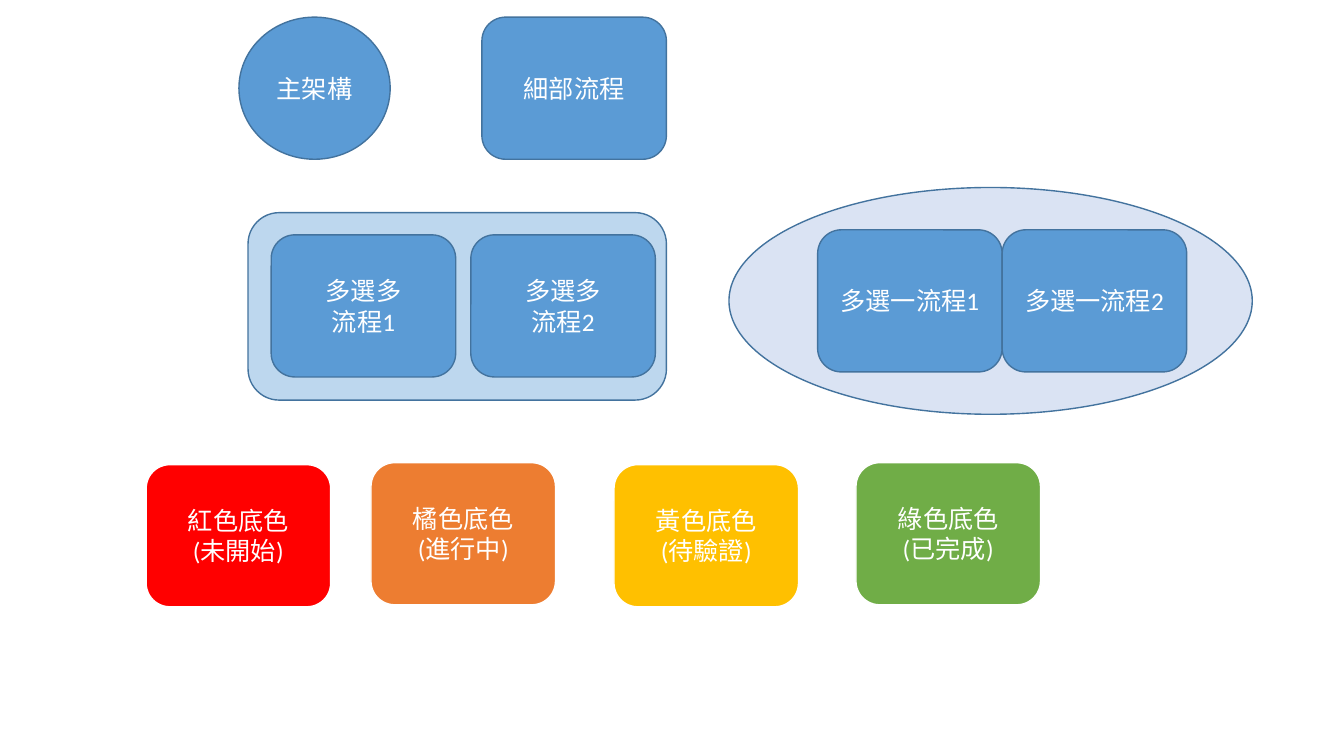
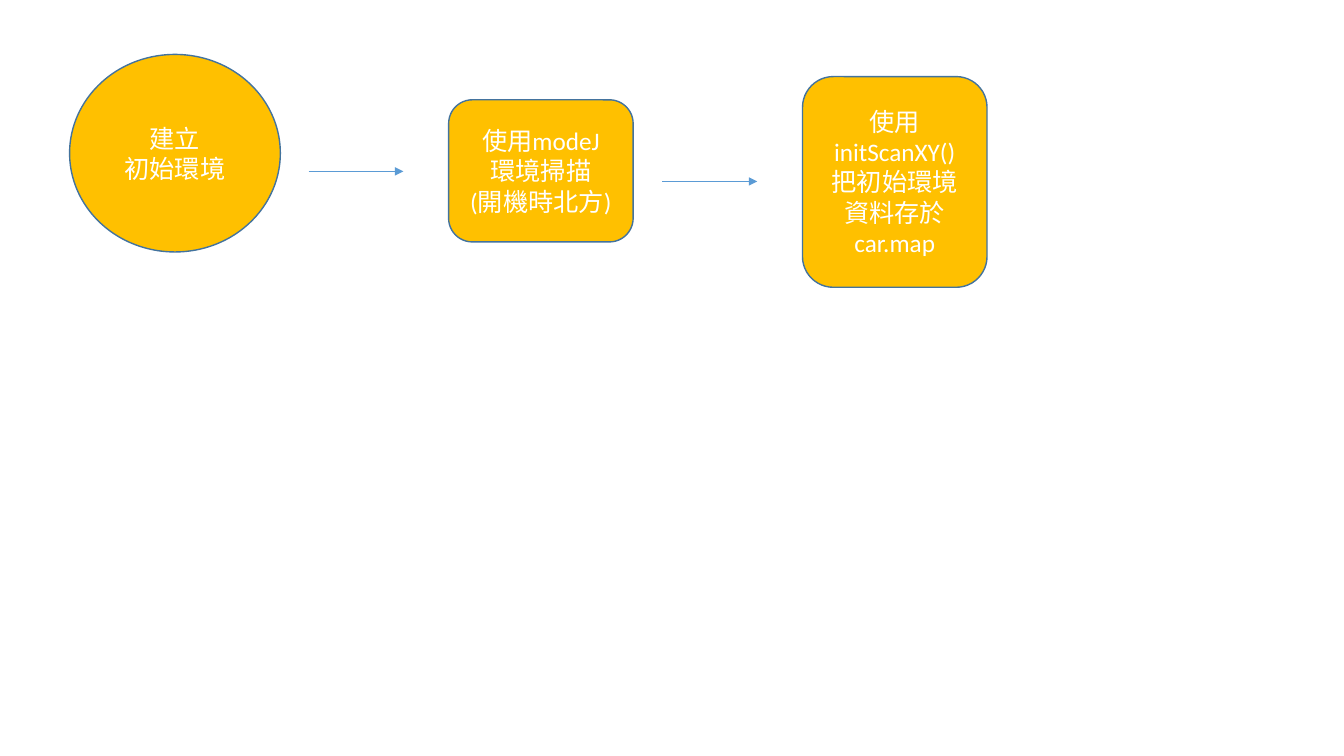
from lxml import etree
from pptx import Presentation
from pptx.dml.color import RGBColor
from pptx.enum.shapes import MSO_CONNECTOR, MSO_SHAPE
from pptx.enum.text import MSO_ANCHOR, PP_ALIGN
from pptx.oxml.ns import qn
from pptx.util import Inches, Pt

OVAL, BOX = MSO_SHAPE.OVAL, MSO_SHAPE.ROUNDED_RECTANGLE
STRAIGHT = MSO_CONNECTOR.STRAIGHT
MIDDLE, CENTER = MSO_ANCHOR.MIDDLE, PP_ALIGN.CENTER

BLUE = RGBColor(0x5B, 0x9B, 0xD5)
OUTLINE = RGBColor(0x43, 0x73, 0x9E)
PALE_BLUE = RGBColor(0xBD, 0xD7, 0xEE)
LAVENDER = RGBColor(0xDA, 0xE3, 0xF3)
RED = RGBColor(0xFF, 0x00, 0x00)
ORANGE = RGBColor(0xED, 0x7D, 0x31)
YELLOW = RGBColor(0xFF, 0xC0, 0x00)
GREEN = RGBColor(0x70, 0xAD, 0x47)
WHITE = RGBColor(0xFF, 0xFF, 0xFF)

STEP_W, STEP_H = 1.83, 1.41
LABEL_FONT = {"name": "Calibri", "size": Pt(18)}

prs = Presentation()
prs.slide_width, prs.slide_height = Inches(13.33), Inches(7.5)
blank = prs.slide_layouts[6]


def add_node(slide, kind, left, top, width, height, fill, label="", outline=OUTLINE):
    """Draw a filled node; in label, \\n starts a paragraph and \\v a line."""
    node = slide.shapes.add_shape(
        kind, Inches(left), Inches(top), Inches(width), Inches(height))
    node.shadow.inherit = False
    node.fill.solid()
    node.fill.fore_color.rgb = fill
    node.line.color.rgb = outline
    node.line.width = Pt(1)
    if not label:
        return
    node.text_frame.text = label
    node.text_frame.vertical_anchor = MIDDLE
    for paragraph in node.text_frame.paragraphs:
        paragraph.alignment = CENTER
        for run in paragraph.runs:
            run.font.color.rgb = WHITE
            for key, value in LABEL_FONT.items():
                setattr(run.font, key, value)


# Slide 1: legend of shapes and status colours
legend = prs.slides.add_slide(blank)

# Main structure and detailed step
add_node(legend, OVAL, 2.37, 0.17, 1.5, STEP_H, BLUE, "主架構")
add_node(legend, BOX, 4.78, 0.17, STEP_W, STEP_H, BLUE, "細部流程")

# Groups, each holding two steps
groups = [
    (BOX, (2.46, 2.11, 4.15, 1.86), PALE_BLUE, "多選多\v流程", 2.69, 2.33, 1.98),
    (OVAL, (7.23, 1.86, 5.19, 2.25), LAVENDER, "多選一流程", 8.11, 2.28, STEP_W),
]
for kind, frame, tint, step_name, left, top, pitch in groups:
    add_node(legend, kind, *frame, tint)
    for index in range(2):
        add_node(legend, BOX, left + index * pitch, top, STEP_W, STEP_H,
                 BLUE, f"{step_name}{index + 1}")

# Status colours
statuses = [
    (1.45, 4.61, RED, "紅色底色\n(未開始)"),
    (3.68, 4.59, ORANGE, "橘色底色\v(進行中)"),
    (6.09, 4.61, YELLOW, "黃色底色\n(待驗證)"),
    (8.49, 4.59, GREEN, "綠色底色\n(已完成)"),
]
for left, top, colour, label in statuses:
    add_node(legend, BOX, left, top, STEP_W, STEP_H, colour, label, WHITE)

# Slide 2: setting up the initial environment
setup = prs.slides.add_slide(blank)
setup_steps = [
    (OVAL, 0.69, 0.54, 2.09, 1.96, "建立\v初始環境"),
    (BOX, 4.45, 0.99, STEP_W, STEP_H, "使用modeJ\v環境掃描\v(開機時北方)"),
    (BOX, 7.96, 0.76, STEP_W, 2.09,
     "使用initScanXY()\n把初始環境\v資料存於\vcar.map"),
]
for kind, left, top, width, height, label in setup_steps:
    add_node(setup, kind, left, top, width, height, YELLOW, label)

# Arrows between the steps
for start, level in [(3.06, 1.7), (6.57, 1.8)]:
    arrow = setup.shapes.add_connector(
        STRAIGHT, Inches(start), Inches(level), Inches(start + 0.94), Inches(level))
    arrow.line.color.rgb = BLUE
    arrow.line.width = Pt(0.5)
    etree.SubElement(arrow.line._get_or_add_ln(), qn("a:tailEnd"), type="triangle")
    etree.SubElement(arrow._element.spPr, qn("a:effectLst"))

prs.save("out.pptx")
